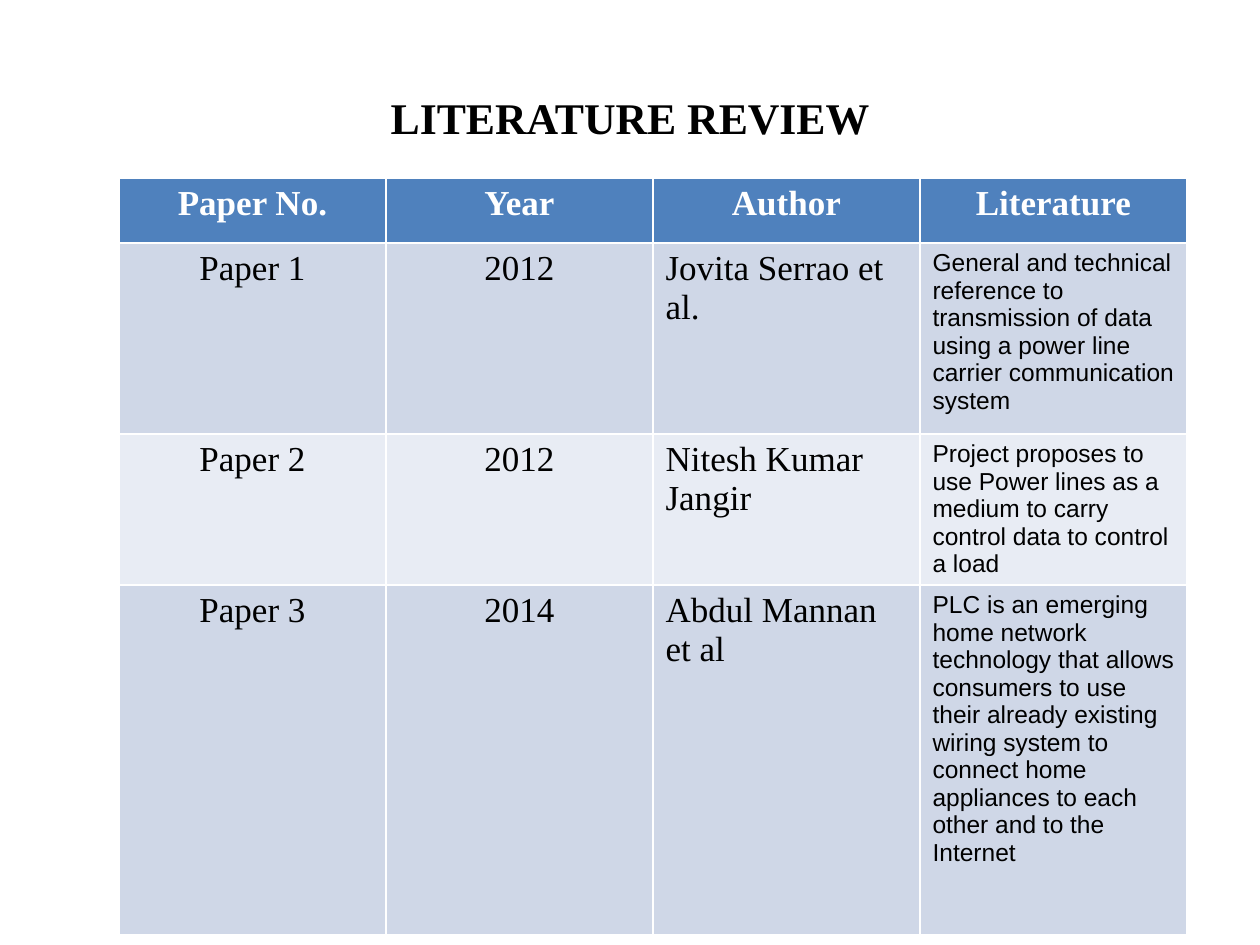
import pptx
import pptx.util
import pptx.dml.color
import pptx.enum.text

TITLE = "LITERATURE REVIEW"
ROWS = [
    ("Paper No.", "Year", "Author", "Literature"),
    ("Paper 1", "2012", "Jovita Serrao et al.",
     "General and technical reference to transmission of data using a "
     "power line carrier communication system"),
    ("Paper 2", "2012", "Nitesh Kumar Jangir",
     "Project proposes to use Power lines as a medium to carry control "
     "data to control a load"),
    ("Paper 3", "2014", "Abdul Mannan et al",
     "PLC is an emerging home network technology that allows consumers to "
     "use their already existing wiring system to connect home appliances "
     "to each other and to the Internet"),
]
HEIGHTS = [65, 191, 151, 350]
FILLS = ["4F81BD", "CFD7E7", "E8ECF4", "CFD7E7"]
LEFT, TOP, WIDTH = 119, 178, 267
SERIF, SANS = "Times New Roman", "Arial"
ALIGN = pptx.enum.text.PP_ALIGN


def px(n):
    return pptx.util.Emu(round(n * 914400 / 126))


def color(text):
    return pptx.dml.color.RGBColor.from_string(text)


def style(para, face, size, ink, bold, align):
    font = para.font
    font.name, font.size, font.bold = face, pptx.util.Pt(size), bold
    font.color.rgb = color(ink)
    para.alignment = align


def add_title(slide):
    title = slide.shapes.title
    title.left, title.top, title.width, title.height = map(px, (63, 38, 1134, 158))
    title.text_frame.text = TITLE
    style(title.text_frame.paragraphs[0], SERIF, 25, "000000", True, ALIGN.CENTER)


def add_papers(slide):
    count = len(ROWS[0])
    box = map(px, (LEFT, TOP, count * WIDTH, sum(HEIGHTS)))
    table = slide.shapes.add_table(len(ROWS), count, *box).table
    for col in table.columns:
        col.width = px(WIDTH)
    for r, row in enumerate(ROWS):
        table.rows[r].height = px(HEIGHTS[r])
        head = r == 0
        for c, text in enumerate(row):
            cell = table.cell(r, c)
            cell.text = text
            cell.fill.solid()
            cell.fill.fore_color.rgb = color(FILLS[r])
            note = c == 3 and not head
            style(cell.text_frame.paragraphs[0],
                  SANS if note else SERIF, 14 if note else 20,
                  "FFFFFF" if head else "000000", head,
                  ALIGN.CENTER if head or c < 2 else ALIGN.LEFT)


def main():
    deck = pptx.Presentation()
    deck.slide_width, deck.slide_height = px(1260), px(945)
    slide = deck.slides.add_slide(deck.slide_layouts[5])
    add_title(slide)
    add_papers(slide)
    deck.save("out.pptx")


if __name__ == "__main__":
    main()
